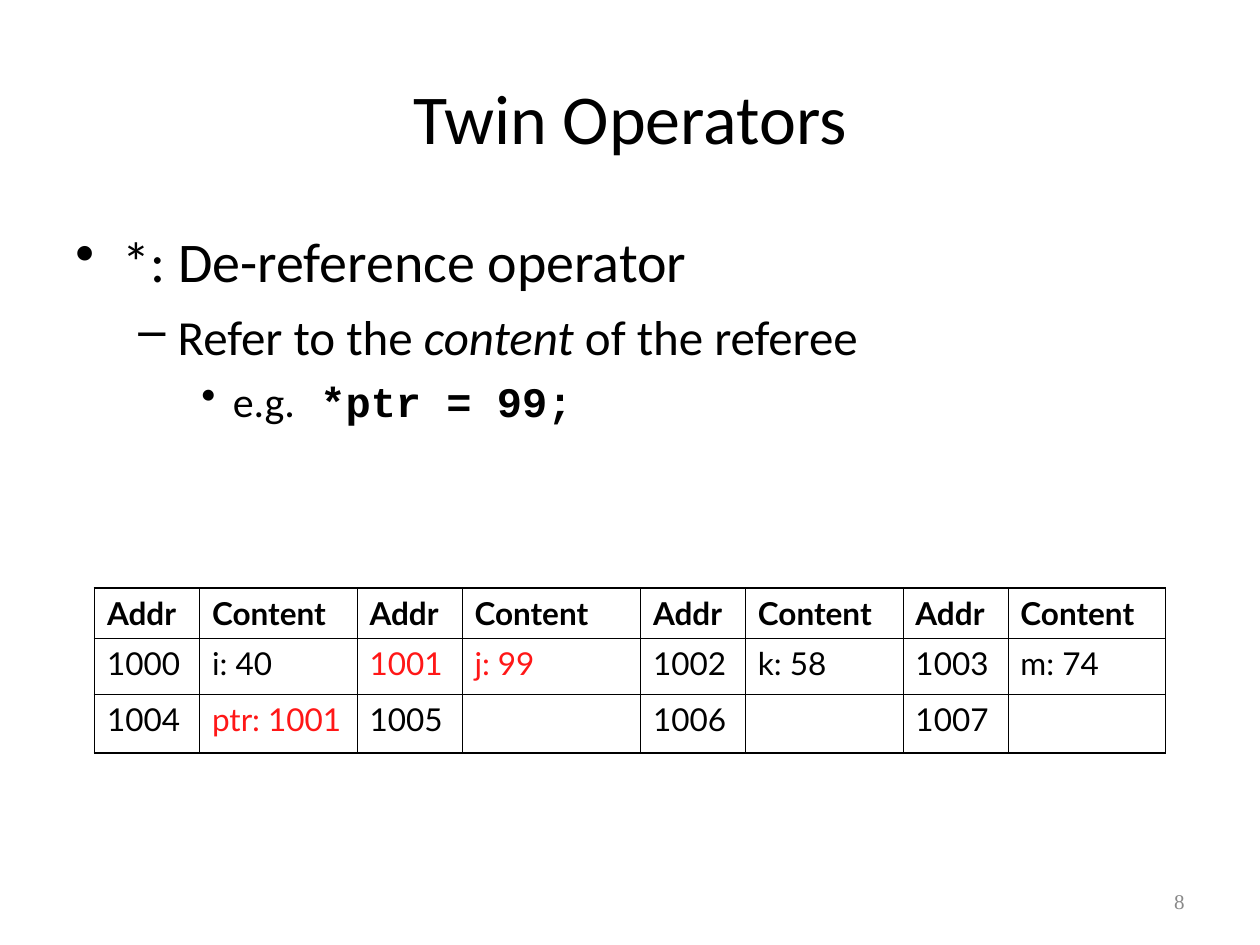
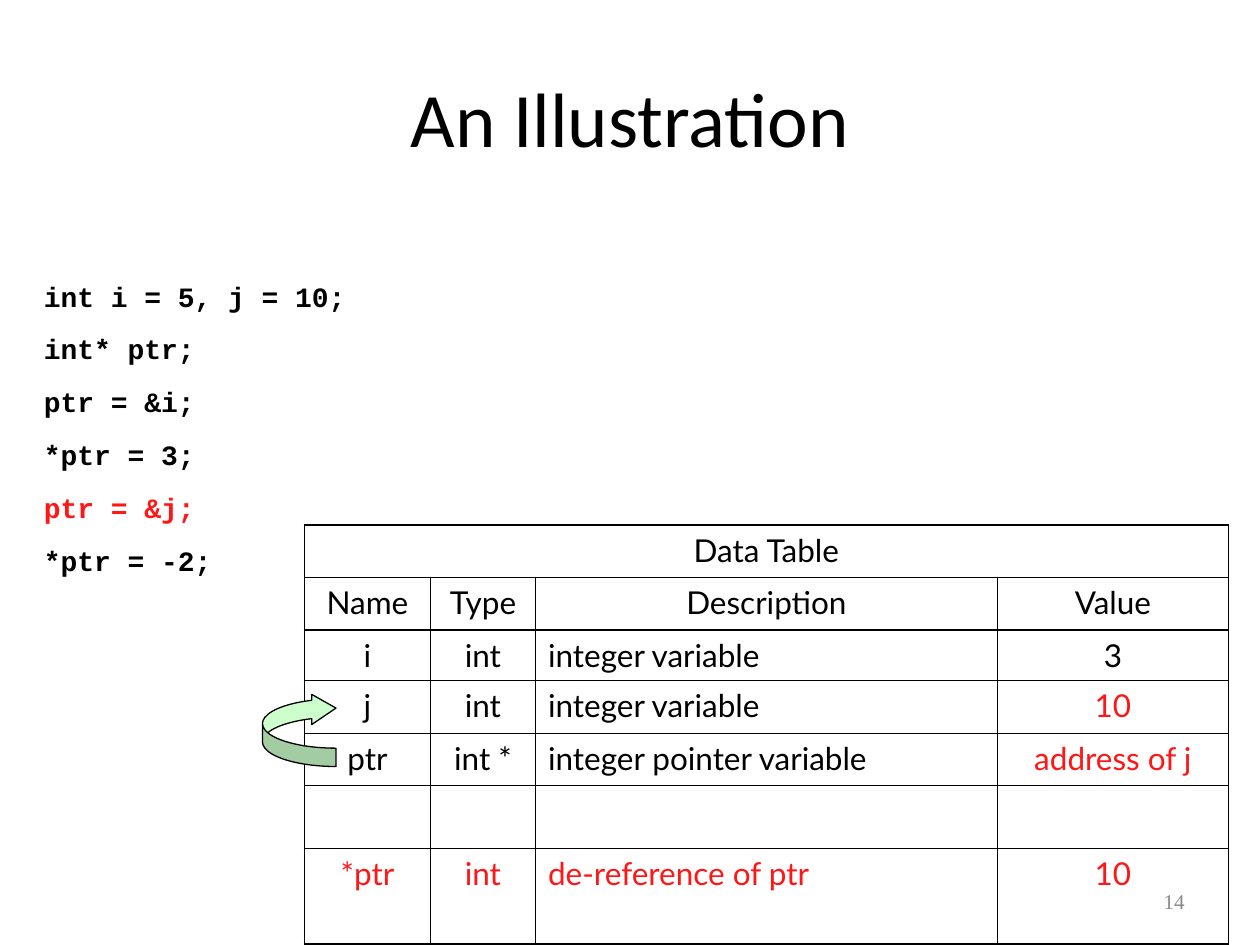
from lxml import etree
from pptx import Presentation
from pptx.dml.color import RGBColor
from pptx.enum.shapes import MSO_SHAPE
from pptx.enum.text import MSO_ANCHOR, PP_ALIGN
from pptx.oxml.ns import qn
from pptx.util import Pt

CURVED_ARROW = MSO_SHAPE.CURVED_LEFT_ARROW
MIDDLE = MSO_ANCHOR.MIDDLE
LEFT, CENTER, RIGHT = PP_ALIGN.LEFT, PP_ALIGN.CENTER, PP_ALIGN.RIGHT

BLACK, RED, GRAY, PALE_GREEN = "000000", "FF1717", "898989", "CCFFCC"
BODY_FONT, CODE_FONT = "Calibri", "Courier New"
TABLE_FONT, NUMBER_FONT = "Lato", "Times New Roman"
THICK, THIN = 1.08, 0.45

TITLE_BOX = (36, 21.6, 648, 90)
NUMBER_BOX = (516, 500.4, 168, 28.8)
TITLE_ONLY = 5

BULLETS = [("•", 27, -27, 0, 32), ("–", 58.5, -22.5, 7, 28), ("•", 90, -18, 6, 24)]


def color(hex_code):
    return RGBColor.from_string(hex_code)


def points(box):
    return [Pt(length) for length in box]


def style(font, name, size, hex_code=BLACK, bold=False):
    font.name = name
    font.size = Pt(size)
    font.color.rgb = color(hex_code)
    font.bold = bold


def add_text_frame(slide, box):
    frame = slide.shapes.add_textbox(*points(box)).text_frame
    frame.word_wrap = True
    return frame


def add_titled_slide(prs, heading, heading_size, number):
    slide = prs.slides.add_slide(prs.slide_layouts[TITLE_ONLY])
    title = slide.shapes.title
    title.left, title.top, title.width, title.height = points(TITLE_BOX)
    title.text_frame.text = heading
    title.text_frame.vertical_anchor = MIDDLE
    paragraph = title.text_frame.paragraphs[0]
    paragraph.alignment = CENTER
    style(paragraph.font, BODY_FONT, heading_size)

    footer = add_text_frame(slide, NUMBER_BOX)
    footer.text = str(number)
    footer.vertical_anchor = MIDDLE
    footer.paragraphs[0].alignment = RIGHT
    style(footer.paragraphs[0].font, NUMBER_FONT, 12, GRAY)
    return slide


def add_paragraph(frame, index, space_before):
    if index == 0:
        return frame.paragraphs[0]
    paragraph = frame.add_paragraph()
    paragraph.space_before = Pt(space_before)
    return paragraph


def add_operator_outline(slide, box):
    frame = add_text_frame(slide, box)
    lines = [
        ["*: De-reference operator"],
        ["Refer to the ", "content", " of the referee"],
        ["e.g.", " *ptr = 99;"],
    ]
    for level, (parts, bullet) in enumerate(zip(lines, BULLETS)):
        mark, margin, indent, space_before, size = bullet
        paragraph = add_paragraph(frame, level, space_before)
        paragraph.level = level
        properties = paragraph._p.get_or_add_pPr()
        properties.set("marL", str(Pt(margin)))
        properties.set("indent", str(Pt(indent)))
        etree.SubElement(properties, qn("a:buChar"), char=mark)
        style(paragraph.font, BODY_FONT, size)
        for part in parts:
            run = paragraph.add_run()
            run.text = part
            if part == "content":
                run.font.italic = True
            elif "*ptr" in part:
                run.font.name = CODE_FONT
                run.font.bold = True


def add_code(slide, box, lines, current_line):
    frame = add_text_frame(slide, box)
    for index, line in enumerate(lines):
        paragraph = add_paragraph(frame, index, 11)
        paragraph.text = line
        style(paragraph.font, CODE_FONT, 16, RED if line == current_line else BLACK, True)


def set_borders(cell, widths):
    properties = cell._tc.get_or_add_tcPr()
    for index, (side, width) in enumerate(zip(("lnL", "lnR", "lnT", "lnB"), widths)):
        border = etree.Element(qn(f"a:{side}"), w=str(Pt(width)))
        fill = etree.SubElement(border, qn("a:solidFill"))
        etree.SubElement(fill, qn("a:srgbClr"), val=BLACK)
        properties.insert(index, border)


def add_grid(slide, corner, rows, widths, heights, red_cells, header_rows, bold_header, align):
    box = (*corner, sum(widths), sum(heights))
    table = slide.shapes.add_table(len(rows), len(widths), *points(box)).table
    table.first_row = table.horz_banding = False
    for column, width in zip(table.columns, widths):
        column.width = Pt(width)
    for row, height in zip(table.rows, heights):
        row.height = Pt(height)

    thick_levels = {*range(header_rows + 1), len(rows)}
    thick_sides = {0, len(widths)}
    for r, texts in enumerate(rows):
        for c, text in enumerate(texts):
            cell = table.cell(r, c)
            cell.fill.background()
            set_borders(cell, [
                *(THICK if side in thick_sides else THIN for side in (c, c + 1)),
                *(THICK if level in thick_levels else THIN for level in (r, r + 1)),
            ])
            if text:
                cell.text = text
                paragraph = cell.text_frame.paragraphs[0]
                paragraph.alignment = align(r, c)
                style(paragraph.font, TABLE_FONT, 18, RED if (r, c) in red_cells else BLACK,
                      bold_header and r < header_rows)
    return table


def add_memory_table(slide, corner):
    rows = [
        ["Addr", "Content"] * 4,
        ["1000", "i: 40", "1001", "j: 99", "1002", "k: 58", "1003", "m: 74"],
        ["1004", "ptr: 1001", "1005", "", "1006", "", "1007", ""],
    ]
    add_grid(slide, corner, rows, [60, 90, 60, 102, 60, 90, 60, 90], [28.8, 32, 33.6],
             {(1, 2), (1, 3), (2, 1)}, 1, True, lambda r, c: LEFT)


def add_data_table(slide, corner):
    rows = [
        ["Data Table", "", "", ""],
        ["Name", "Type", "Description", "Value"],
        ["i", "int", "integer variable", "3"],
        ["j", "int", "integer variable", "10"],
        ["ptr", "int *", "integer pointer variable", "address of j"],
        ["", "", "", ""],
        ["*ptr", "int", "de-reference of ptr", "10"],
    ]
    red_cells = {(3, 3), (4, 3), *((6, c) for c in range(4))}
    table = add_grid(slide, corner, rows, [72, 60, 264, 132],
                     [30, 30, 28.8, 30, 30, 36, 54.8], red_cells, 2, False,
                     lambda r, c: LEFT if c == 2 and r > 1 else CENTER)
    table.cell(0, 0).merge(table.cell(0, 3))


def add_pointer_arrow(slide, box):
    arrow = slide.shapes.add_shape(CURVED_ARROW, *points(box))
    arrow.rotation = 180
    arrow.adjustments[0] = 0.25
    arrow.adjustments[1] = 0.41
    arrow.adjustments[2] = 0.33
    arrow.shadow.inherit = False
    arrow.fill.solid()
    arrow.fill.fore_color.rgb = color(PALE_GREEN)
    arrow.line.color.rgb = color(BLACK)
    arrow.line.width = Pt(0.75)


def build_operators_slide(prs):
    slide = add_titled_slide(prs, "Twin Operators", 40, 8)
    add_operator_outline(slide, (36, 126, 648, 356.4))
    add_memory_table(slide, (54, 336))


def build_illustration_slide(prs):
    slide = add_titled_slide(prs, "An Illustration", 44, 14)
    code = ["int i = 5, j = 10;", "int* ptr;", "ptr = &i;",
            "*ptr = 3;", "ptr = &j;", "*ptr = -2;"]
    add_code(slide, (18, 156, 672, 172.8), code, "ptr = &j;")
    add_data_table(slide, (174, 300))
    add_pointer_arrow(slide, (150, 396, 42, 42))


def main():
    prs = Presentation()
    prs.slide_width, prs.slide_height = Pt(720), Pt(540)
    build_operators_slide(prs)
    build_illustration_slide(prs)
    prs.save("out.pptx")


if __name__ == "__main__":
    main()
